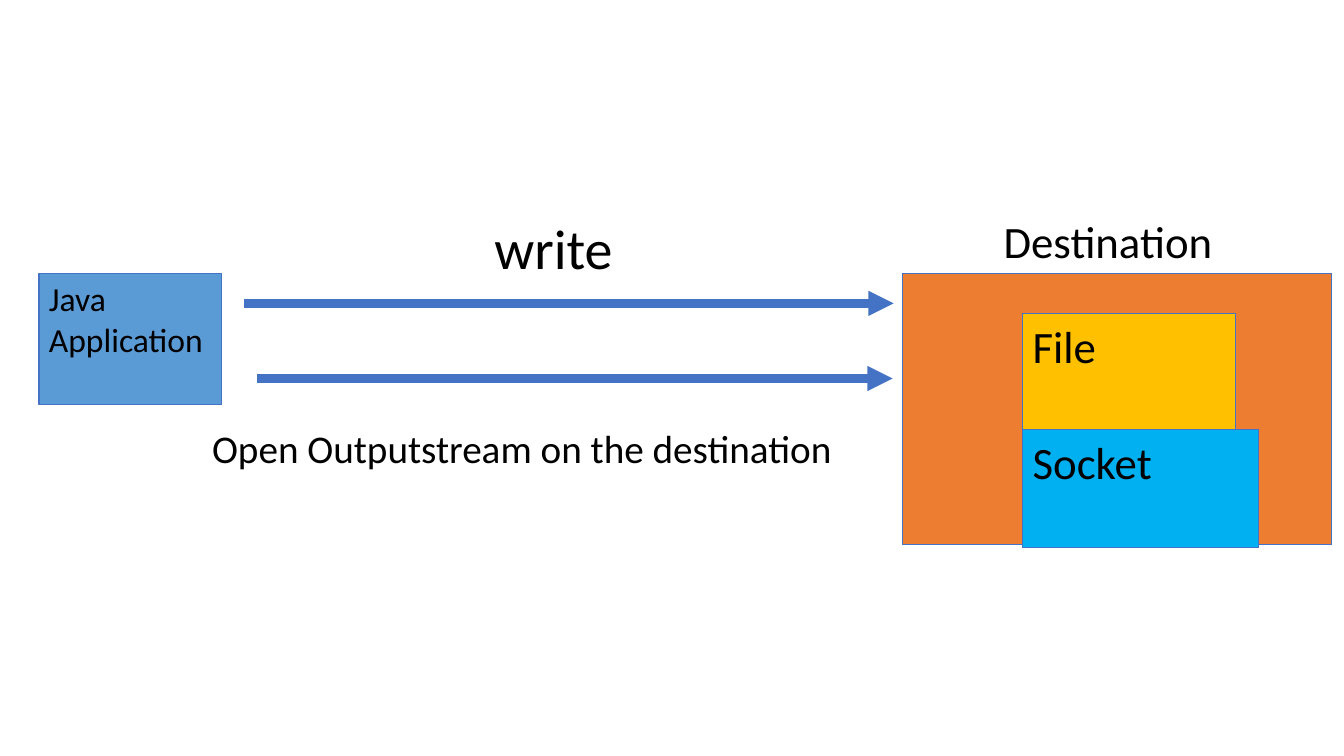
from pptx import Presentation
from pptx import util as u
from pptx.dml import color
from pptx.enum import shapes, text
from pptx.oxml import ns
from lxml import etree

EMU_PER_PX = 9080


def px(length):
    return u.Emu(length * EMU_PER_PX)


def rgb(hex_string):
    return color.RGBColor.from_string(hex_string)


class Diagram:
    font = "Calibri"
    ink = "000000"
    accent = "4472C4"

    def __init__(self, slide):
        self.slide = slide

    def set_words(self, frame, words, size):
        frame.word_wrap = True
        frame.vertical_anchor = text.MSO_ANCHOR.TOP
        frame.text = words
        for paragraph in frame.paragraphs:
            paragraph.alignment = text.PP_ALIGN.LEFT
            for run in paragraph.runs:
                run.font.name = self.font
                run.font.size = u.Pt(size)
                run.font.color.rgb = rgb(self.ink)

    def box(self, left, top, width, height, fill, words="", size=32):
        block = self.slide.shapes.add_shape(
            shapes.MSO_SHAPE.RECTANGLE, px(left), px(top), px(width), px(height))
        block.shadow.inherit = False
        block.fill.solid()
        block.fill.fore_color.rgb = rgb(fill)
        block.line.color.rgb = rgb(self.accent)
        block.line.width = u.Pt(0.75)
        if words:
            self.set_words(block.text_frame, words, size)

    def label(self, left, top, width, height, words, size):
        caption = self.slide.shapes.add_textbox(px(left), px(top), px(width), px(height))
        self.set_words(caption.text_frame, words, size)

    def arrow(self, start, end, y):
        flow = self.slide.shapes.add_connector(
            shapes.MSO_CONNECTOR.STRAIGHT, px(start), px(y), px(end), px(y))
        flow.line.color.rgb = rgb(self.accent)
        flow.line.width = u.Pt(6)
        properties = flow._element.spPr
        outline = properties.find(ns.qn("a:ln"))
        etree.SubElement(outline, ns.qn("a:tailEnd"), type="triangle")
        etree.SubElement(properties, ns.qn("a:effectLst"))


def main():
    deck = Presentation()
    deck.slide_width = px(1343)
    deck.slide_height = px(755)
    diagram = Diagram(deck.slides.add_slide(deck.slide_layouts[6]))

    diagram.box(902, 273, 429, 271, "ED7D31")
    diagram.box(1022, 313, 213, 118, "FFC000", "File")
    diagram.box(1022, 429, 236, 118, "00B0F0", "Socket")
    diagram.label(993, 208, 275, 64, "Destination", 32)

    diagram.box(39, 273, 182, 131, "5B9BD5", "Java\nApplication", 24)
    diagram.label(484, 208, 150, 78, "write", 40)
    diagram.arrow(257, 892, 378)
    diagram.label(202, 419, 662, 57, "Open Outputstream on the destination", 28)
    diagram.arrow(244, 893, 303)

    deck.save("out.pptx")


if __name__ == "__main__":
    main()
